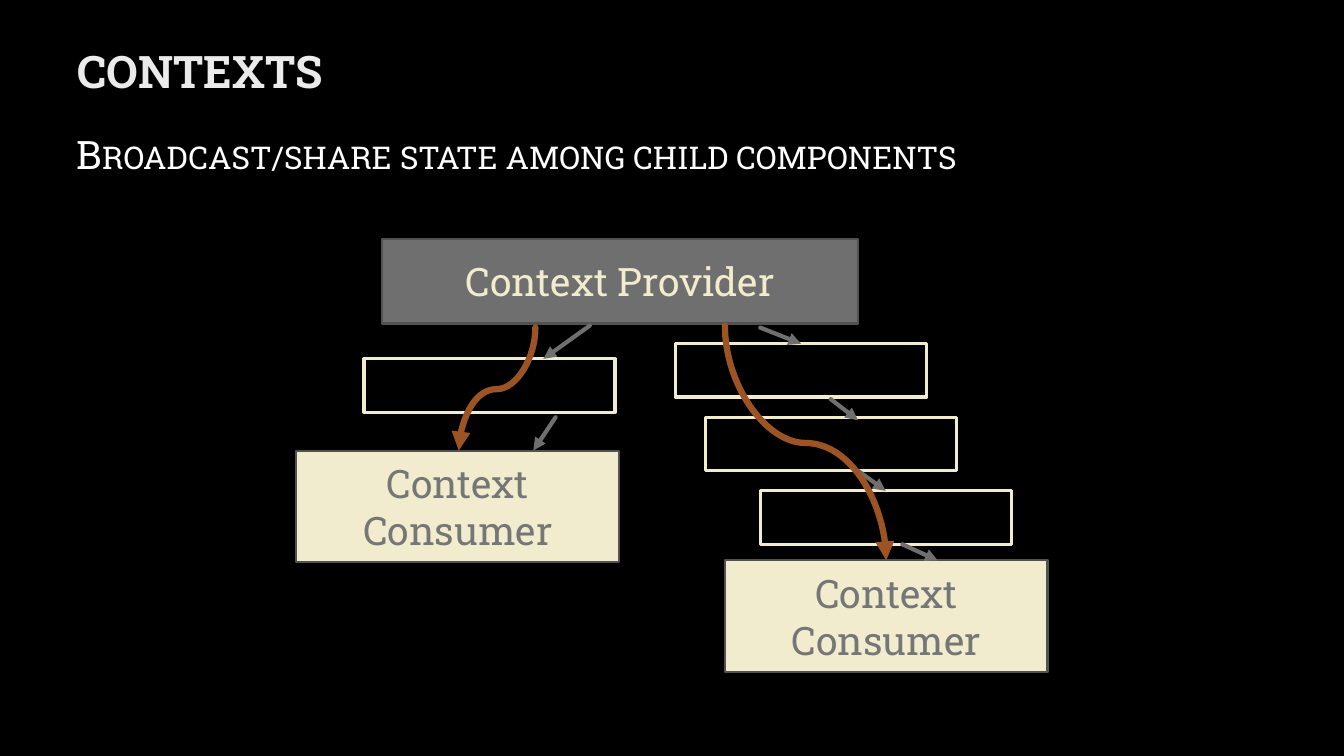
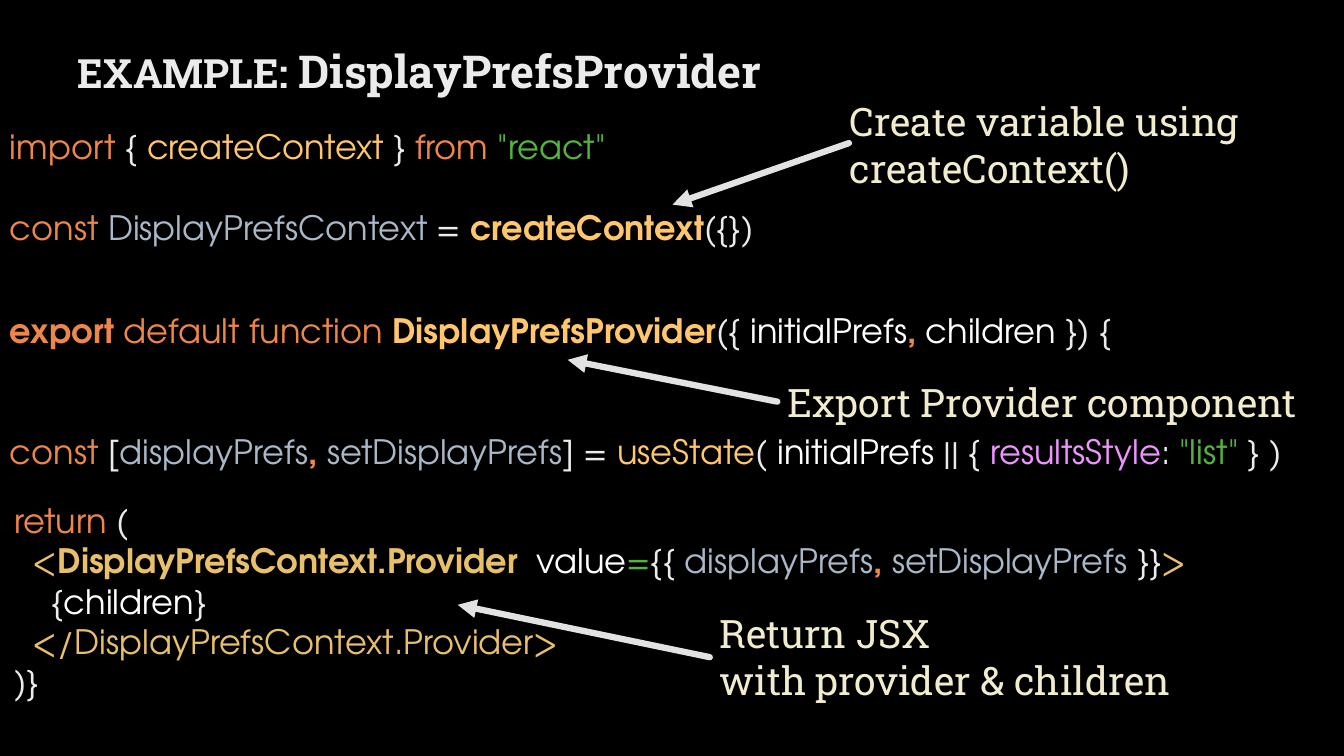
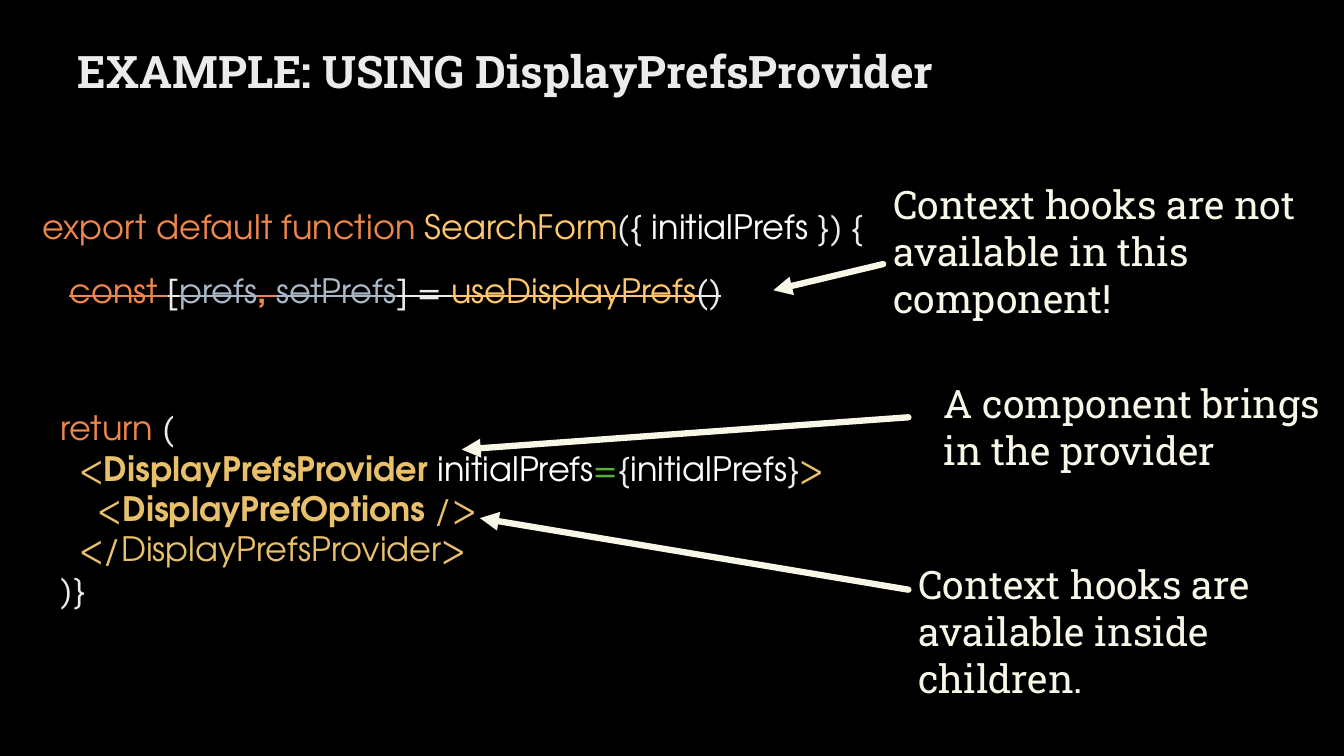
from lxml.etree import SubElement
from pptx import Presentation
from pptx.dml.color import RGBColor
from pptx.enum.shapes import MSO_CONNECTOR, MSO_SHAPE
from pptx.enum.text import MSO_ANCHOR, MSO_AUTO_SIZE, PP_ALIGN
from pptx.oxml.ns import qn
from pptx.util import Inches, Pt

BLACK = RGBColor(0x00, 0x00, 0x00)
WHITE = RGBColor(0xFF, 0xFF, 0xFF)
LIGHT = RGBColor(0xEB, 0xEB, 0xEB)
SILVER = RGBColor(0xE2, 0xE2, 0xE2)
CREAM = RGBColor(0xF1, 0xEC, 0xCE)
IVORY = RGBColor(0xF8, 0xF6, 0xE6)
GRAY = RGBColor(0x6F, 0x6F, 0x6F)
TEXT_GRAY = RGBColor(0x76, 0x76, 0x76)
BORDER = RGBColor(0x52, 0x52, 0x52)
BROWN = RGBColor(0x9D, 0x54, 0x25)

KEYWORD = RGBColor(0xED, 0x86, 0x4A)
FUNCTION = RGBColor(0xFF, 0xC6, 0x6D)
VARIABLE = RGBColor(0xA9, 0xB7, 0xC6)
STRING = RGBColor(0x54, 0xB3, 0x3E)
TAG = RGBColor(0xE8, 0xBF, 0x6A)
PROPERTY = RGBColor(0xED, 0x94, 0xFF)
COMMA = (", ", KEYWORD, True)

TITLE_ONLY, TITLE_AND_CONTENT = 5, 1
TOP, LEFT = 0, 1
CODE_LINE = 28.8


class Deck:
    """Holds the shared style and the slide being built."""

    text_font = "Roboto Slab"
    code_font = "TeX Gyre Adventor"
    text_size = 28
    code_size = 24

    def __init__(self):
        self.presentation = Presentation()
        self.presentation.slide_width = Inches(13.33)
        self.presentation.slide_height = Inches(7.5)
        fill = self.presentation.slide_master.background.fill
        fill.solid()
        fill.fore_color.rgb = BLACK
        self.slide = None

    def add_slide(self, layout, *title_parts):
        """Start a slide; each title part is (text, size)."""
        layouts = self.presentation.slide_layouts
        self.slide = self.presentation.slides.add_slide(layouts[layout])
        title = self.slide.shapes.title
        self.place(title, 0.67, 0.38, 12, 0.71)
        self.set_frame(title.text_frame, MSO_ANCHOR.TOP)
        paragraph = title.text_frame.paragraphs[0]
        paragraph.alignment = PP_ALIGN.LEFT
        for text, size in title_parts:
            self.add_run(paragraph, text, LIGHT, size, bold=True)

    def place(self, shape, left, top, width, height):
        shape.left, shape.top = Inches(left), Inches(top)
        shape.width, shape.height = Inches(width), Inches(height)

    def set_frame(self, frame, anchor):
        frame.word_wrap = True
        frame.auto_size = MSO_AUTO_SIZE.NONE
        frame.vertical_anchor = anchor

    def add_run(self, paragraph, text, color, size, bold=False, name=text_font):
        run = paragraph.add_run()
        run.text = text
        run.font.name = name
        run.font.size = Pt(size)
        run.font.bold = bold
        run.font.color.rgb = color
        return run

    def add_subtitle(self, text):
        body = self.slide.placeholders[1]
        self.place(body, 0.66, 1.22, 12, 0.61)
        self.set_frame(body.text_frame, MSO_ANCHOR.MIDDLE)
        paragraph = body.text_frame.paragraphs[0]
        properties = paragraph._p.get_or_add_pPr()
        properties.set("marL", "0")
        properties.set("indent", "0")
        SubElement(properties, qn("a:buNone"))
        paragraph.space_before = Pt(0)
        run = self.add_run(paragraph, text, WHITE, self.text_size)
        run._r.get_or_add_rPr().set("cap", "small")

    def add_box(self, left, top, width, height, border, border_width,
                fill=None, text="", color=None):
        box = self.slide.shapes.add_shape(
            MSO_SHAPE.RECTANGLE, Inches(left), Inches(top), Inches(width), Inches(height))
        box.shadow.inherit = False
        box.line.color.rgb = border
        box.line.width = Pt(border_width)
        if fill is None:
            box.fill.background()
        else:
            box.fill.solid()
            box.fill.fore_color.rgb = fill
        if text:
            self.set_frame(box.text_frame, MSO_ANCHOR.MIDDLE)
            paragraph = box.text_frame.paragraphs[0]
            paragraph.alignment = PP_ALIGN.CENTER
            self.add_run(paragraph, text, color, self.text_size)
        return box

    def add_text_box(self, left, top, width, height):
        box = self.slide.shapes.add_textbox(
            Inches(left), Inches(top), Inches(width), Inches(height))
        self.set_frame(box.text_frame, MSO_ANCHOR.TOP)
        return box

    def add_lines(self, frame, lines):
        """Yield one paragraph of the frame with each line."""
        for index, line in enumerate(lines):
            yield (frame.add_paragraph() if index else frame.paragraphs[0]), line

    def add_callout(self, left, top, width, height, color, *lines):
        box = self.add_text_box(left, top, width, height)
        for paragraph, line in self.add_lines(box.text_frame, lines):
            self.add_run(paragraph, line, color, self.text_size)
        return box

    def add_code(self, left, top, width, height, *lines, gaps=None, strike=False):
        """Lines are lists of (text, color[, bold]); gaps maps a line's index
        to the number of line heights left free before it."""
        box = self.add_text_box(left, top, width, height)
        for paragraph, line in self.add_lines(box.text_frame, lines):
            for text, color, *bold in line:
                run = self.add_run(paragraph, text, color, self.code_size,
                                   bool(bold), self.code_font)
                if strike:
                    run._r.get_or_add_rPr().set("strike", "sngStrike")
        for index, count in (gaps or {}).items():
            box.text_frame.paragraphs[index].space_before = Pt(count * CODE_LINE)

    def add_arrow(self, begin, end, color, width, source=None, target=None,
                  kind=MSO_CONNECTOR.STRAIGHT):
        """Draw an arrow, joined to a source's left or a target's top side if given."""
        arrow = self.slide.shapes.add_connector(
            kind, *(Inches(value) for value in (*begin, *end)))
        if source is not None:
            arrow.begin_connect(source, LEFT)
        if target is not None:
            arrow.end_connect(target, TOP)
        arrow.line.color.rgb = color
        arrow.line.width = Pt(width)
        line = arrow.line._get_or_add_ln()
        line.set("cap", "rnd")
        SubElement(line, qn("a:tailEnd"), type="triangle")
        SubElement(arrow._element.spPr, qn("a:effectLst"))
        return arrow

    def add_falling_curve(self, begin, end, color, width):
        """Draw an S-shaped arrow that leaves and arrives vertically.

        The preset curve runs sideways, so it is laid out around the
        same centre and then turned by a quarter."""
        center_x, center_y = (begin[0] + end[0]) / 2, (begin[1] + end[1]) / 2
        half_run = (end[1] - begin[1]) / 2
        half_rise = abs(end[0] - begin[0]) / 2
        to_right = end[0] > begin[0]
        if to_right:
            half_run = -half_run
        arrow = self.add_arrow(
            (center_x - half_run, center_y - half_rise),
            (center_x + half_run, center_y + half_rise),
            color, width, kind=MSO_CONNECTOR.CURVE)
        degrees = 270 if to_right else 90
        arrow._element.spPr.find(qn("a:xfrm")).set("rot", str(degrees * 60000))


def build_contexts(deck):
    deck.add_slide(TITLE_AND_CONTENT, ("CONTEXTS", 32))
    deck.add_subtitle("Broadcast/share state among child components")
    deck.add_box(3.79, 2.37, 4.72, 0.84, BORDER, 1.5, GRAY, "Context Provider", CREAM)
    _, upper, _, lower = [
        deck.add_box(left, top, 2.49, 0.53, CREAM, 2.25)
        for left, top in ((3.61, 3.56), (6.7, 3.41), (7, 4.14), (7.54, 4.87))]
    for left, top in ((2.94, 4.47), (7.19, 5.56)):
        deck.add_box(left, top, 3.2, 1.11, BORDER, 1.5, CREAM,
                     "Context Consumer", TEXT_GRAY)
    for begin, end, target in (
            ((5.85, 3.23), (5.39, 3.56), None),
            ((5.51, 4.14), (5.29, 4.47), None),
            ((7.54, 3.25), (7.95, 3.41), upper),
            ((8.24, 3.96), (8.51, 4.17), None),
            ((8.51, 4.67), (8.79, 4.87), lower),
            ((8.95, 5.4), (9.3, 5.56), None)):
        deck.add_arrow(begin, end, GRAY, 3, target=target)
    deck.add_falling_curve((5.31, 3.25), (4.55, 4.47), BROWN, 4.5)
    deck.add_falling_curve((7.19, 3.23), (8.79, 5.56), BROWN, 4.5)


def build_provider(deck):
    deck.add_slide(TITLE_ONLY, ("EXAMPLE: ", 28.8), ("DisplayPrefsProvider", 32.4))
    deck.add_code(
        0, 1.2, 10.77, 1.31,
        [("import ", KEYWORD), ("{ ", LIGHT), ("createContext ", FUNCTION),
         ("} ", LIGHT), ("from ", KEYWORD), ('"react"', STRING)],
        [("const ", KEYWORD), ("DisplayPrefsContext ", VARIABLE), ("= ", LIGHT),
         ("createContext", FUNCTION, True), ("({})", LIGHT)],
        gaps={1: 1})
    deck.add_code(
        0, 3.03, 13.33, 1.72,
        [("export", KEYWORD, True), (" default function ", KEYWORD),
         ("DisplayPrefsProvider", FUNCTION, True), ("({ ", LIGHT),
         ("initialPrefs", WHITE), COMMA, ("children ", WHITE), ("}) {", LIGHT)],
        [("const ", KEYWORD), ("[", LIGHT), ("displayPrefs", VARIABLE), COMMA,
         ("setDisplayPrefs", VARIABLE), ("] = ", LIGHT), ("useState", FUNCTION),
         ("( ", LIGHT), ("initialPrefs ", WHITE), ("|| { ", LIGHT),
         ("resultsStyle", PROPERTY), (": ", LIGHT), ('"list" ', STRING), ("} )", LIGHT)],
        gaps={1: 2})
    deck.add_code(
        -0.14, 4.91, 13.33, 2.12,
        [("  return ", KEYWORD), ("(", LIGHT)],
        [("    <", TAG), ("DisplayPrefsContext.Provider  ", TAG, True),
         ("value", WHITE), ("=", STRING), ("{{ ", LIGHT), ("displayPrefs", VARIABLE),
         COMMA, ("setDisplayPrefs ", VARIABLE), ("}}", LIGHT), (">", TAG)],
        [("      {", LIGHT), ("children", WHITE), ("}", LIGHT)],
        [("    </DisplayPrefsContext.Provider>", TAG)],
        [("  )}", LIGHT)])
    deck.add_callout(8.33, 0.92, 5, 1.04, CREAM, "Create variable using createContext()")
    export_note = deck.add_callout(7.71, 3.7, 5.62, 0.57, CREAM,
                                   "Export Provider component")
    return_note = deck.add_callout(7.04, 6, 4.99, 1.04, CREAM,
                                   "Return JSX", "with provider & children")
    for begin, end, source in (
            ((8.42, 1.42), (6.67, 2.03), None),
            ((7.71, 3.99), (5.63, 3.57), export_note),
            ((7.04, 6.52), (4.54, 6), return_note)):
        deck.add_arrow(begin, end, SILVER, 4.5, source=source)


def build_usage(deck):
    deck.add_slide(TITLE_ONLY, ("EXAMPLE: USING DisplayPrefsProvider", 32))
    deck.add_code(
        0.32, 1.99, 11.24, 4.14,
        [("export default function ", KEYWORD), ("SearchForm", FUNCTION),
         ("({ ", LIGHT), ("initialPrefs ", WHITE), ("}) {", LIGHT)],
        [("  return ", KEYWORD), ("(", LIGHT)],
        [("    <", TAG), ("DisplayPrefsProvider ", TAG, True), ("initialPrefs", WHITE),
         ("=", STRING), ("{", LIGHT), ("initialPrefs", WHITE), ("}", LIGHT), (">", TAG)],
        [("      <", TAG), ("DisplayPrefOptions", TAG, True), (" />", TAG)],
        [("    </DisplayPrefsProvider>", TAG)],
        [("  )}", LIGHT)],
        gaps={1: 4})
    deck.add_code(
        0.59, 2.63, 6.82, 0.5,
        [("const ", KEYWORD), ("[", LIGHT), ("prefs", VARIABLE), COMMA,
         ("setPrefs", VARIABLE), ("] = ", LIGHT), ("useDisplayPrefs", FUNCTION),
         ("()", LIGHT)],
        strike=True)
    for left, top, width, text, begin, end in (
            (8.76, 1.74, 4.57, "Context hooks are not available in this component!",
             (8.76, 2.62), (7.67, 2.88)),
            (9.26, 3.71, 4.02, "A component brings in the provider",
             (9.01, 4.14), (4.58, 4.46)),
            (9.01, 5.51, 4, "Context hooks are available inside children.",
             (9.01, 5.85), (4.76, 5.14))):
        deck.add_callout(left, top, width, 1.51, IVORY, text)
        deck.add_arrow(begin, end, IVORY, 4.5)


def main():
    deck = Deck()
    build_contexts(deck)
    build_provider(deck)
    build_usage(deck)
    deck.presentation.save("out.pptx")


if __name__ == "__main__":
    main()
